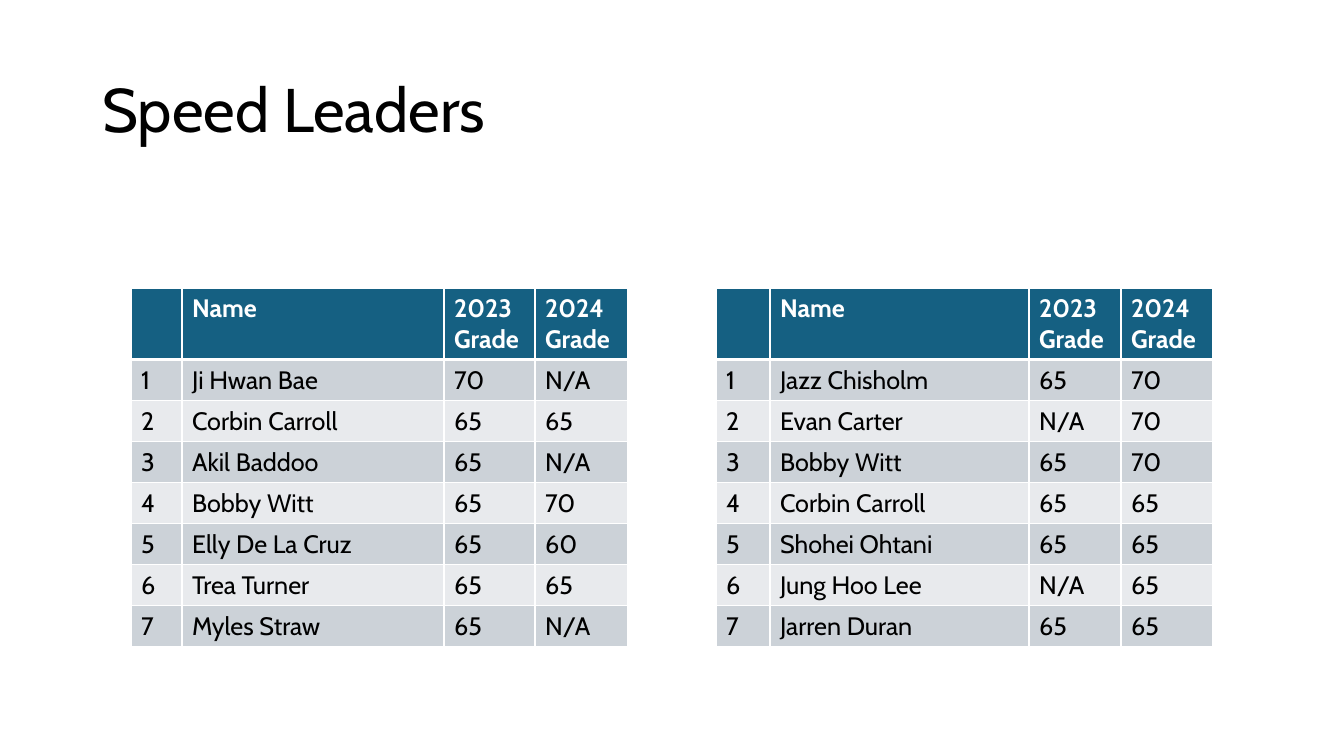
import pptx
import pptx.dml.color
import pptx.enum.text
import pptx.oxml
import pptx.oxml.ns
import pptx.util
from lxml import etree

RGBColor = pptx.dml.color.RGBColor

TITLE = "Speed Leaders"
HEADER = ("", "Name", "2023 Grade", "2024 Grade")
LEADERS_2023 = [
    ("Ji Hwan Bae", "70", "N/A"),
    ("Corbin Carroll", "65", "65"),
    ("Akil Baddoo", "65", "N/A"),
    ("Bobby Witt", "65", "70"),
    ("Elly De La Cruz", "65", "60"),
    ("Trea Turner", "65", "65"),
    ("Myles Straw", "65", "N/A"),
]
LEADERS_2024 = [
    ("Jazz Chisholm", "65", "70"),
    ("Evan Carter", "N/A", "70"),
    ("Bobby Witt", "65", "70"),
    ("Corbin Carroll", "65", "65"),
    ("Shohei Ohtani", "65", "65"),
    ("Jung Hoo Lee", "N/A", "65"),
    ("Jarren Duran", "65", "65"),
]
# Left edge and column widths in px, then the players
RANKINGS = [
    (131, (51, 262, 91, 93), LEADERS_2023),
    (716, (54, 259, 92, 92), LEADERS_2024),
]

FONT = "Cabin"
BLACK = RGBColor(0x00, 0x00, 0x00)
WHITE = RGBColor(0xFF, 0xFF, 0xFF)
TEAL = RGBColor(0x15, 0x60, 0x82)
BANDS = (RGBColor(0xCC, 0xD2, 0xD8), RGBColor(0xE8, 0xEA, 0xED))

SLIDE_WIDTH, SLIDE_HEIGHT = 1344, 756
TITLE_BOX = (92, 40, 1159, 146)
RANKING_TOP = 288
HEADER_HEIGHT, ROW_HEIGHT = 70, 41
THIN, THICK = 1, 3


def px(length):
    """Turn px, at 100.8 to the inch, into EMU."""
    return pptx.util.Emu(round(length * 914400 / 100.8))


def set_font(paragraph, size, color, bold=False):
    for run in paragraph.runs:
        run.font.name = FONT
        run.font.size = pptx.util.Pt(size)
        run.font.bold = bold
        run.font.color.rgb = color


def add_borders(cell, top, bottom):
    """Draw white cell borders; top and bottom widths are in points."""
    properties = cell._tc.get_or_add_tcPr()
    for side, width in (("L", THIN), ("R", THIN), ("T", top), ("B", bottom)):
        border = etree.SubElement(properties, pptx.oxml.ns.qn(f"a:ln{side}"))
        border.set("w", str(pptx.util.Pt(width)))
        fill = etree.SubElement(border, pptx.oxml.ns.qn("a:solidFill"))
        color = etree.SubElement(fill, pptx.oxml.ns.qn("a:srgbClr"))
        color.set("val", str(WHITE))


def add_ranking(slide, left, widths, leaders):
    rows = [HEADER] + [(str(rank), *leader) for rank, leader in enumerate(leaders, 1)]
    height = HEADER_HEIGHT + ROW_HEIGHT * len(leaders)
    ranking = slide.shapes.add_table(
        len(rows), len(HEADER), px(left), px(RANKING_TOP), px(sum(widths)), px(height)
    ).table
    for column, width in zip(ranking.columns, widths):
        column.width = px(width)
    for r, row in enumerate(rows):
        is_header = r == 0
        ranking.rows[r].height = px(HEADER_HEIGHT if is_header else ROW_HEIGHT)
        for c, text in enumerate(row):
            cell = ranking.cell(r, c)
            add_borders(cell, THICK if r == 1 else THIN, THICK if is_header else THIN)
            cell.fill.solid()
            cell.fill.fore_color.rgb = TEAL if is_header else BANDS[(r - 1) % 2]
            cell.text_frame.text = text
            set_font(cell.text_frame.paragraphs[0], 18, WHITE if is_header else BLACK, is_header)


def main():
    deck = pptx.Presentation()
    deck.slide_width, deck.slide_height = px(SLIDE_WIDTH), px(SLIDE_HEIGHT)
    slide = deck.slides.add_slide(deck.slide_layouts.get_by_name("Title Only"))

    title = slide.shapes.title
    title.left, title.top, title.width, title.height = map(px, TITLE_BOX)
    title.text_frame.text = TITLE
    title.text_frame.auto_size = pptx.enum.text.MSO_AUTO_SIZE.NONE
    title.text_frame.vertical_anchor = pptx.enum.text.MSO_ANCHOR.MIDDLE
    heading = title.text_frame.paragraphs[0]
    heading.alignment = pptx.enum.text.PP_ALIGN.LEFT
    heading.line_spacing = 0.9
    set_font(heading, 44, BLACK)

    for left, widths, leaders in RANKINGS:
        add_ranking(slide, left, widths, leaders)
    deck.save("out.pptx")


if __name__ == "__main__":
    main()
